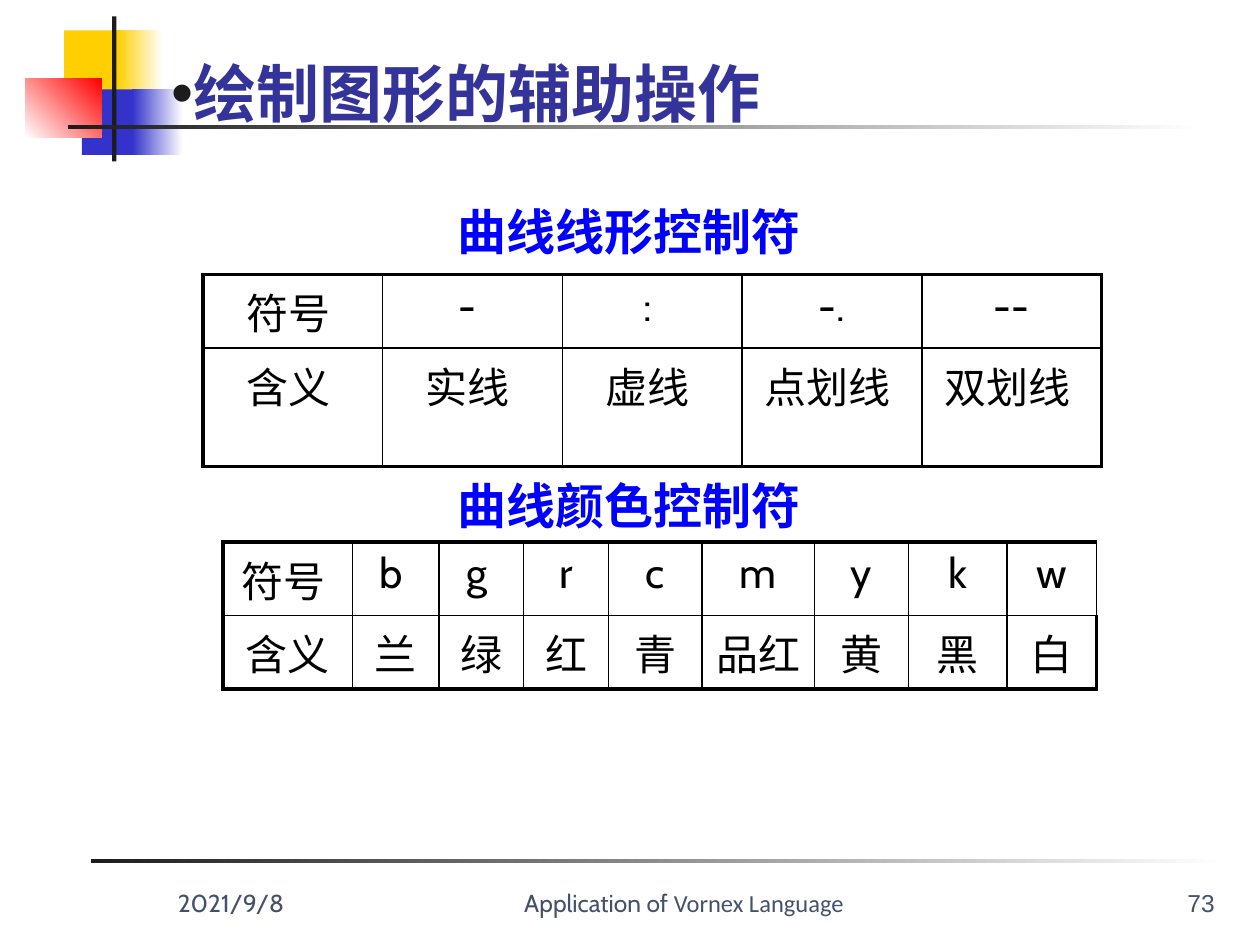
from dataclasses import dataclass

from lxml.etree import SubElement
from pptx import Presentation
from pptx.dml.color import RGBColor
from pptx.enum.shapes import MSO_SHAPE
from pptx.enum.text import MSO_ANCHOR, PP_ALIGN
from pptx.oxml.ns import qn
from pptx.util import Pt


@dataclass(frozen=True)
class Theme:
    """Colours, fonts and sizes of the slide."""
    yellow: str = "FFCF01"
    blue: str = "3333CC"
    red: str = "FF0000"
    white: str = "FFFFFF"
    ink: str = "1C1C1C"
    black: str = "000000"
    title: str = "333399"
    heading: str = "0000FF"
    footer: str = "45516B"
    latin: str = "Cabin"
    chinese: str = "Noto Sans CJK SC"
    number: str = "Arial"
    language: str = "Calibri"
    title_size: float = 36
    heading_size: float = 28
    cell_size: float = 24
    footer_size: float = 14
    thin: float = 1
    thick: float = 2.25


THEME = Theme()


def style_font(font, size, color, name=THEME.latin, bold=False):
    """Set the Latin and East Asian typeface, size, colour and weight."""
    font.name, font.size, font.bold = name, Pt(size), bold
    font.color.rgb = RGBColor.from_string(color)
    SubElement(font._element, qn("a:ea"), typeface=THEME.chinese)


def add_block(page, bounds, start, end=None, angle=0):
    """Add a borderless rectangle with a plain or gradient fill."""
    block = page.shapes.add_shape(MSO_SHAPE.RECTANGLE, *map(Pt, bounds))
    block.shadow.inherit = False
    block.line.fill.background()
    if end is None:
        block.fill.solid()
        block.fill.fore_color.rgb = RGBColor.from_string(start)
        return
    block.fill.gradient()
    block.fill.gradient_angle = angle
    for stop, color in zip(block.fill.gradient_stops, (start, end)):
        stop.color.rgb = RGBColor.from_string(color)


def add_text(page, bounds, text, size, color, name=THEME.latin, bold=False,
             align=PP_ALIGN.LEFT, anchor=MSO_ANCHOR.BOTTOM):
    """Add a one-paragraph text box and return its paragraph."""
    box = page.shapes.add_textbox(*map(Pt, bounds))
    box.text_frame.word_wrap = True
    box.text_frame.vertical_anchor = anchor
    para = box.text_frame.paragraphs[0]
    para.alignment = align
    para.add_run().text = text
    style_font(para.font, size, color, name, bold)
    return para


def add_bullet(para, color):
    """Put a coloured round bullet before a paragraph."""
    properties = para._p.get_or_add_pPr()
    holder = SubElement(properties, qn("a:buClr"))
    SubElement(holder, qn("a:srgbClr"), val=color)
    SubElement(properties, qn("a:buFont"), typeface=THEME.number)
    SubElement(properties, qn("a:buChar"), char="•")
    for element in properties.findall(qn("a:defRPr")):
        properties.append(element)


def set_borders(cell, widths):
    """Draw the left, right, top and bottom borders of a cell."""
    properties = cell._tc.get_or_add_tcPr()
    for side, width in zip("LRTB", widths):
        line = SubElement(properties, qn(f"a:ln{side}"), w=str(Pt(width)))
        fill = SubElement(line, qn("a:solidFill"))
        SubElement(fill, qn("a:srgbClr"), val=THEME.black)


def add_symbol_table(page, left, top, widths, heights, rows, thin_corner=False):
    """Add a table with a thick frame and thin inner lines."""
    frame = page.shapes.add_table(len(rows), len(widths), Pt(left), Pt(top),
                                  Pt(sum(widths)), Pt(sum(heights)))
    table = frame.table
    table.first_row = table.horz_banding = False
    for column, width in zip(table.columns, widths):
        column.width = Pt(width)
    for row, height in zip(table.rows, heights):
        row.height = Pt(height)
    last_row, last_column = len(rows) - 1, len(widths) - 1
    for r, texts in enumerate(rows):
        for c, text in enumerate(texts):
            cell = table.cell(r, c)
            right_edge = c == last_column and not (thin_corner and r == 0)
            edges = (c == 0, right_edge, r == 0, r == last_row)
            set_borders(cell, [THEME.thick if edge else THEME.thin for edge in edges])
            cell.fill.background()
            para = cell.text_frame.paragraphs[0]
            para.alignment = PP_ALIGN.CENTER
            para.add_run().text = text
            style_font(para.font, THEME.cell_size, THEME.black)


def add_decoration(page):
    """Add the coloured blocks and the fading rules."""
    add_block(page, (36.7, 17.3, 34.6, 37.4), THEME.yellow)
    add_block(page, (67, 17.3, 25.9, 37.4), THEME.yellow, THEME.white)
    add_block(page, (46.8, 51.1, 33.1, 37.4), THEME.blue)
    add_block(page, (75.6, 51.1, 28.8, 37.4), THEME.blue, THEME.white)
    add_block(page, (14.4, 45, 43.9, 33.5), THEME.white, THEME.red, 45)
    add_block(page, (64.1, 9.4, 2.4, 82.8), THEME.ink)
    for left, top in ((38.9, 71.3), (51.8, 491)):
        add_block(page, (left, top, 648, 2.4), THEME.ink, THEME.white)


def add_footer(page):
    """Add the date, the course name and the page number."""
    size, color = THEME.footer_size, THEME.footer
    add_text(page, (91.4, 491.8, 149.8, 36), " 2021/9/8", size, color)
    course = add_text(page, (263.5, 491.8, 254.9, 36), "Application of ", size, color,
                      align=PP_ALIGN.CENTER)
    span = course.add_run()
    span.text = "Vornex Language"
    span.font.name = THEME.language
    add_text(page, (542.4, 491.8, 162.7, 36), "73 ", size, color, THEME.number,
             align=PP_ALIGN.RIGHT)


def main():
    """Build and save the slide."""
    deck = Presentation()
    deck.slide_width, deck.slide_height = Pt(720), Pt(540)
    page = deck.slides.add_slide(deck.slide_layouts[6])
    add_decoration(page)
    title = add_text(page, (90.7, 27, 613.4, 51.1), "绘制图形的辅助操作",
                     THEME.title_size, THEME.title, bold=True)
    add_bullet(title, THEME.ink)
    for top, text in ((111.8, "曲线线形控制符 "), (268.2, "曲线颜色控制符 ")):
        add_text(page, (36, top, 653, 48), text, THEME.heading_size, THEME.heading,
                 THEME.chinese, True, PP_ALIGN.CENTER, MSO_ANCHOR.TOP)
    add_symbol_table(page, 116, 157, [102.7] * 5, (42, 67.5), (
        ("符号 ", "- ", ": ", "-.", "--"),
        ("含义 ", "实线 ", "虚线 ", "点划线 ", "双划线 ")))
    add_symbol_table(
        page, 127.5, 309.8, (74, 49.4, 48.4, 48.4, 53.5, 64.3, 53.8, 56.2, 51.1), (42, 42), (
            ("符号 ", "b ", "g ", "r", "c", "m", "y", "k", "w"),
            ("含义", "兰", "绿", "红", "青", "品红", "黄", "黑", "白")), thin_corner=True)
    add_footer(page)
    deck.save("out.pptx")


if __name__ == "__main__":
    main()
